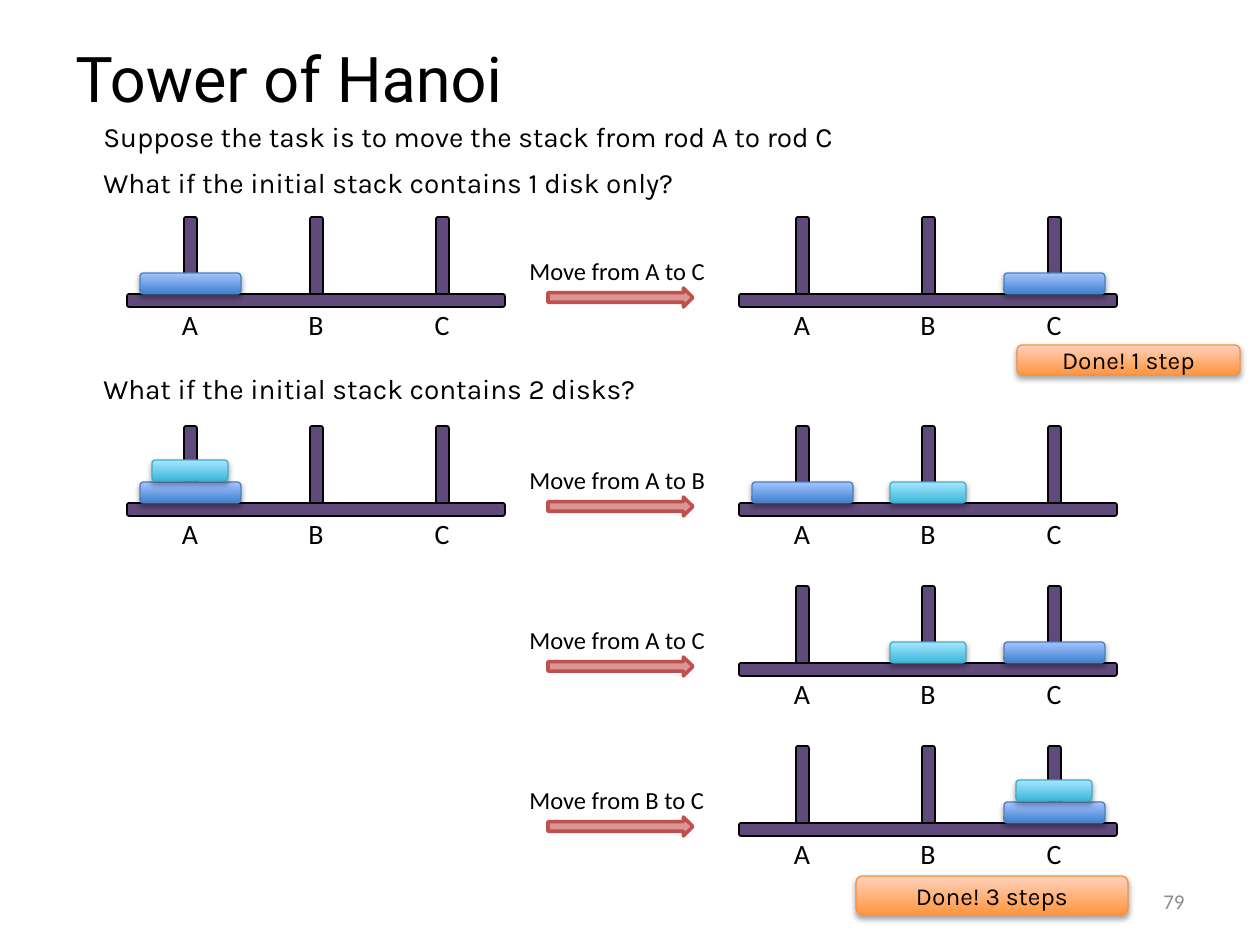
"""Build the Tower of Hanoi slide showing the one-disk and two-disk moves."""
from lxml.etree import SubElement
from pptx import Presentation
from pptx.dml.color import RGBColor
from pptx.enum.shapes import MSO_SHAPE
from pptx.enum.text import MSO_ANCHOR, PP_ALIGN
from pptx.oxml.ns import qn
from pptx.util import Pt

PX = 914400 / 126
HEX = {
    "black": "000000", "white": "FFFFFF", "gray": "8C8C8C", "wood": "604A7B",
    "arrow": "D99694", "edge": "C0504D",
}
GLOSS = {
    "big": ("3F80CE", "A4C4FF", "4B7EBC"),
    "small": ("39B7D8", "A7E6FF", "46AAC5"),
    "done": ("FF953E", "FFD2BD", "F69240"),
}
WIDTH = {"big": 101, "small": 76}
LEFT, RIGHT = 127, 739
GAP = 126


def add_form(home, kind, box, paint, edge=None, weight=0.75):
    form = home.shapes.add_shape(kind, *[round(n * PX) for n in box])
    form.shadow.inherit = False
    if paint in GLOSS:
        low, high, edge = GLOSS[paint]
        form.fill.gradient()
        form.fill.gradient_angle = 90
        for stop, tint in zip(form.fill.gradient_stops, (low, high)):
            stop.color.rgb = RGBColor.from_string(tint)
        glow = form._element.spPr.find(qn("a:effectLst"))
        cast = SubElement(glow, qn("a:outerShdw"), blurRad="40000", dist="23000",
                          dir="5400000", rotWithShape="0")
        tone = SubElement(cast, qn("a:srgbClr"), val=HEX["black"])
        SubElement(tone, qn("a:alpha"), val="35000")
    else:
        form.fill.solid()
        form.fill.fore_color.rgb = RGBColor.from_string(HEX[paint])
        edge = HEX[edge]
    form.line.color.rgb = RGBColor.from_string(edge)
    form.line.width = Pt(weight)
    return form


def add_text(home, words, box, size, face, align=PP_ALIGN.LEFT, tint="black",
             wrap=False, form=None):
    form = form or home.shapes.add_textbox(*[round(n * PX) for n in box])
    frame = form.text_frame
    frame.word_wrap = wrap
    frame.vertical_anchor = MSO_ANCHOR.MIDDLE if wrap else MSO_ANCHOR.TOP
    line = frame.paragraphs[0]
    line.text = words
    line.alignment = align
    line.font.size = Pt(size)
    line.font.name = face
    line.font.color.rgb = RGBColor.from_string(HEX[tint])
    return form


deck = Presentation()
deck.slide_width, deck.slide_height = round(1260 * PX), round(945 * PX)
slide = deck.slides.add_slide(deck.slide_layouts[6])

add_text(slide, "Tower of Hanoi", (63, 38, 1134, 79), 36, "Roboto", wrap=True)
add_text(slide, "79", (903, 876, 294, 50), 12, "Calibri", PP_ALIGN.RIGHT, "gray", True)

for words, top, wide in (
    ("Suppose the task is to move the stack from rod A to rod C", 113, 869),
    ("What if the initial stack contains 1 disk only?", 159, 680),
    ("What if the initial stack contains 2 disks?", 365, 620),
):
    note = add_text(slide, words, (91, top, wide, 47), 16, "Karla")
    note.fill.solid()
    note.fill.fore_color.rgb = RGBColor.from_string(HEX["white"])

racks = (
    (LEFT, 294, {"A": ["big"]}, None),
    (RIGHT, 294, {"C": ["big"]}, "Move from A to C"),
    (LEFT, 503, {"A": ["big", "small"]}, None),
    (RIGHT, 503, {"A": ["big"], "B": ["small"]}, "Move from A to B"),
    (RIGHT, 663, {"B": ["small"], "C": ["big"]}, "Move from A to C"),
    (RIGHT, 823, {"C": ["big", "small"]}, "Move from B to C"),
)
for left, base, stacks, move in racks:
    rack = slide.shapes.add_group_shape()
    mids = {rod: left + 63 + GAP * i for i, rod in enumerate("ABC")}
    for rod, mid in mids.items():
        add_form(rack, MSO_SHAPE.ROUNDED_RECTANGLE, (mid - 6, base - 77, 13, 88),
                 "wood", "black", 1)
        add_text(rack, rod, (mid - 21, base + 7, 42, 47), 16, "Calibri", PP_ALIGN.CENTER)
    add_form(rack, MSO_SHAPE.ROUNDED_RECTANGLE, (left, base, 378, 13), "wood", "black", 1)
    for rod, disks in stacks.items():
        for level, disk in enumerate(disks):
            wide = WIDTH[disk]
            add_form(rack, MSO_SHAPE.ROUNDED_RECTANGLE,
                     (mids[rod] - wide // 2, base - 21 - 22 * level, wide, 21), disk)
    if move:
        add_form(rack, MSO_SHAPE.RIGHT_ARROW, (548, base - 6, 145, 19), "arrow", "edge", 2)
        add_text(rack, move, (517, base - 44, 203, 43), 14, "Calibri")

for words, box in (
    ("Done! 1 step", (1017, 345, 223, 30)),
    ("Done! 3 steps", (856, 876, 272, 39)),
):
    badge = add_form(slide, MSO_SHAPE.ROUNDED_RECTANGLE, box, "done")
    add_text(slide, words, box, 14, "Karla", PP_ALIGN.CENTER, wrap=True, form=badge)

deck.save("out.pptx")
